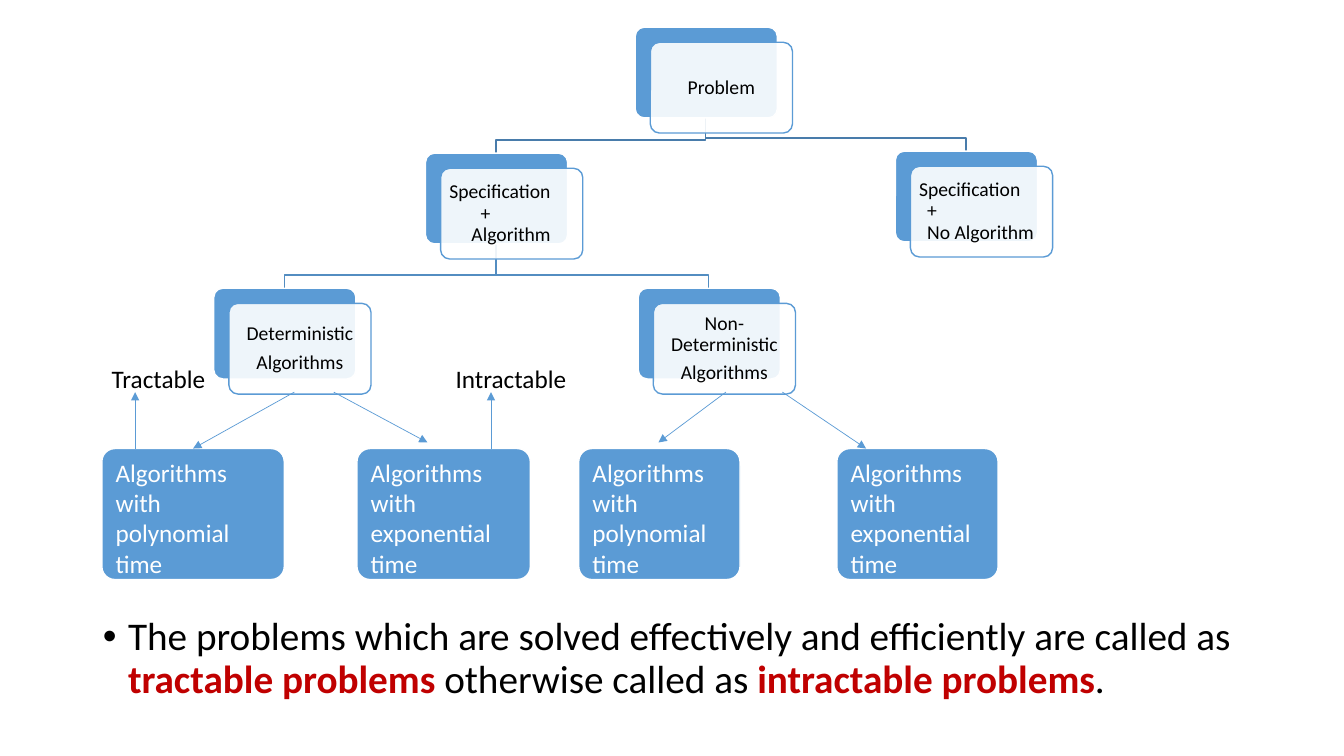
"""Build a slide that classifies problems as tractable or intractable."""
from lxml.etree import SubElement
from pptx import Presentation
from pptx.dml.color import RGBColor
from pptx.enum.shapes import MSO_CONNECTOR as Connector, MSO_SHAPE as Preset
from pptx.enum.text import MSO_ANCHOR as Anchor, MSO_AUTO_SIZE as AutoSize, PP_ALIGN as Align
from pptx.oxml.ns import qn
from pptx.util import Pt

PX = 9144
FONT = "Calibri"
BLUE = RGBColor(0x5B, 0x9B, 0xD5)
UPPER_LINE = RGBColor(0x49, 0x7C, 0xAB)
LOWER_LINE = RGBColor(0x53, 0x8D, 0xC1)
RED = RGBColor(0xC0, 0x00, 0x00)
BLACK = RGBColor(0x00, 0x00, 0x00)
WHITE = RGBColor(0xFF, 0xFF, 0xFF)

CARD_WIDTH, CARD_HEIGHT, CARD_OFFSET = 141, 90, 15
ELBOW_RISE = 13
LEAF_TOP, LEAF_HEIGHT = 445, 130
ARROW_TOP = 389

NODES = {
    "problem": (630, 27, [("Problem", None)]),
    "algorithm": (422, 152, [("Specification", 0), ("+", 31), ("Algorithm", 22)]),
    "no algorithm": (888, 150, [("Specification", 0), ("+", 8), ("No Algorithm", 8)]),
    "deterministic": (212, 286, [("Deterministic", None), ("Algorithms", None)]),
    "non-deterministic": (633, 286, [("Non-Deterministic", None), ("Algorithms", None)]),
}
BRANCHES = [
    ("problem", "no algorithm", UPPER_LINE),
    ("algorithm", "non-deterministic", LOWER_LINE),
    ("algorithm", "deterministic", LOWER_LINE),
    ("problem", "algorithm", UPPER_LINE),
]
LEAVES = [(101, 181, "polynomial"), (354, 172, "exponential"),
          (574, 160, "polynomial"), (830, 160, "exponential")]
SLANTED_ARROWS = [(331, 424, 439), (720, 653, 439), (776, 859, 445)]
VERDICTS = [("Tractable", 101, 114, 134), ("Intractable", 442, 131, 487)]
SUMMARY = [
    ("The problems which are solved effectively and efficiently are called as ", False),
    ("tractable problems ", True),
    ("otherwise called as ", False),
    ("intractable problems", True),
    (".", False),
]


def add_run(paragraph, text, *, size, color=BLACK, bold=False):
    """Append a formatted run to a paragraph."""
    run = paragraph.add_run()
    run.text = text
    run.font.name, run.font.size = FONT, Pt(size)
    run.font.bold, run.font.color.rgb = bold, color


def set_insets(frame, left, top, right, bottom):
    """Set the four inner margins of a text frame."""
    frame.margin_left, frame.margin_top = left * PX, top * PX
    frame.margin_right, frame.margin_bottom = right * PX, bottom * PX


def write(frame, lines, *, size, color=BLACK, anchor=Anchor.TOP, insets=(10, 5, 10, 5),
          spacing=1.0, gap=0, wrap=True):
    """Write lines of text, centred where the indent is None and left-aligned elsewhere."""
    frame.word_wrap, frame.vertical_anchor = wrap, anchor
    set_insets(frame, *insets)
    for index, (text, indent) in enumerate(lines):
        paragraph = frame.add_paragraph() if index else frame.paragraphs[0]
        paragraph.line_spacing = spacing
        if indent is None:
            paragraph.alignment = Align.CENTER
            paragraph.space_before = Pt(gap if index else 0)
        else:
            paragraph.alignment = Align.LEFT
            paragraph._p.get_or_add_pPr().set("marL", str(indent * PX))
        add_run(paragraph, text, size=size, color=color)


def add_card(slide, left, top, width, height, *, fill=BLUE, line=WHITE, opacity=100):
    """Add a rounded rectangle with the given fill, outline and opacity."""
    card = slide.shapes.add_shape(Preset.ROUNDED_RECTANGLE,
                                  left * PX, top * PX, width * PX, height * PX)
    card.shadow.inherit = False
    card.adjustments[0] = 0.1
    card.fill.solid()
    card.fill.fore_color.rgb = fill
    card.line.color.rgb, card.line.width = line, Pt(1)
    if opacity < 100:
        fill_color = card.element.spPr.find(qn("a:solidFill"))[0]
        SubElement(fill_color, qn("a:alpha"), val=str(opacity * 1000))
    return card


def add_node(slide, left, top, lines):
    """Add a blue card and the translucent labelled card in front of it."""
    add_card(slide, left, top, CARD_WIDTH, CARD_HEIGHT)
    front = add_card(slide, left + CARD_OFFSET, top + CARD_OFFSET, CARD_WIDTH, CARD_HEIGHT,
                     fill=WHITE, line=BLUE, opacity=90)
    write(front.text_frame, lines, size=14, anchor=Anchor.MIDDLE,
          insets=(6, 6, 6, 6), spacing=0.9, gap=5)


def add_branch(slide, parent, child, color):
    """Draw a right-angled line from the parent's bottom to the child's top."""
    parent_left, parent_top, _ = NODES[parent]
    child_left, child_top, _ = NODES[child]
    start_x, start_y = parent_left + CARD_WIDTH // 2, parent_top + CARD_HEIGHT
    end_x, turn_y = child_left + CARD_WIDTH // 2, child_top - ELBOW_RISE
    builder = slide.shapes.build_freeform(start_x, start_y, scale=PX)
    builder.add_line_segments([(start_x, turn_y), (end_x, turn_y), (end_x, child_top)],
                              close=False)
    branch = builder.convert_to_shape()
    branch.shadow.inherit = False
    branch.fill.background()
    branch.line.color.rgb, branch.line.width = color, Pt(1)


def add_arrow(slide, start_x, start_y, end_x, end_y, *, target=None):
    """Draw a thin arrow, joined to the top of the target if there is one."""
    arrow = slide.shapes.add_connector(Connector.STRAIGHT, start_x * PX, start_y * PX,
                                       end_x * PX, end_y * PX)
    if target is not None:
        arrow.end_connect(target, 0)
    arrow.line.color.rgb, arrow.line.width = BLUE, Pt(0.5)
    properties = arrow.element.spPr
    SubElement(properties.find(qn("a:ln")), qn("a:tailEnd"), type="triangle")
    SubElement(properties, qn("a:effectLst"))


def add_tree(slide):
    """Draw the branches and nodes of the problem tree."""
    for parent, child, color in BRANCHES:
        add_branch(slide, parent, child, color)
    for left, top, lines in NODES.values():
        add_node(slide, left, top, lines)


def add_leaves(slide):
    """Draw the running-time leaves, their arrows and the verdicts above them."""
    leaves = []
    for left, width, growth in LEAVES:
        leaf = add_card(slide, left, LEAF_TOP, width, LEAF_HEIGHT)
        write(leaf.text_frame, [(f"Algorithms with {growth} time", 0)], size=18, color=WHITE)
        leaves.append(leaf)
    add_arrow(slide, 292, ARROW_TOP, 192, LEAF_TOP, target=leaves[0])
    for start_x, end_x, end_y in SLANTED_ARROWS:
        add_arrow(slide, start_x, ARROW_TOP, end_x, end_y)
    for text, left, width, arrow_x in VERDICTS:
        add_arrow(slide, arrow_x, LEAF_TOP, arrow_x, ARROW_TOP)
        label = slide.shapes.add_textbox(left * PX, 356 * PX, width * PX, 40 * PX)
        write(label.text_frame, [(text, 0)], size=18, wrap=False)


def add_summary(body, left, top, width, height):
    """Fill the body placeholder with the bulleted summary at its foot."""
    body.left, body.top = left * PX, top * PX
    body.width, body.height = width * PX, height * PX
    frame = body.text_frame
    frame.auto_size, frame.word_wrap = AutoSize.NONE, True
    frame.vertical_anchor = Anchor.BOTTOM
    set_insets(frame, 10, 5, 10, 39)
    paragraph = frame.paragraphs[0]
    paragraph.alignment = Align.LEFT
    paragraph.line_spacing, paragraph.space_before = 0.9, Pt(0)
    properties = paragraph._p.get_or_add_pPr()
    properties.set("marL", str(25 * PX))
    properties.set("indent", str(-25 * PX))
    SubElement(properties, qn("a:buFont"), typeface="Arial")
    SubElement(properties, qn("a:buChar"), char="•")
    for text, emphasis in SUMMARY:
        add_run(paragraph, text, size=28, color=RED if emphasis else BLACK, bold=emphasis)


def main():
    """Build and save the presentation."""
    presentation = Presentation()
    presentation.slide_width, presentation.slide_height = 1333 * PX, 750 * PX
    slide = presentation.slides.add_slide(presentation.slide_layouts[1])
    title = slide.shapes.title.element
    title.getparent().remove(title)
    add_summary(slide.placeholders[1], 92, 42, 1150, 693)
    add_tree(slide)
    add_leaves(slide)
    presentation.save("out.pptx")


if __name__ == "__main__":
    main()
